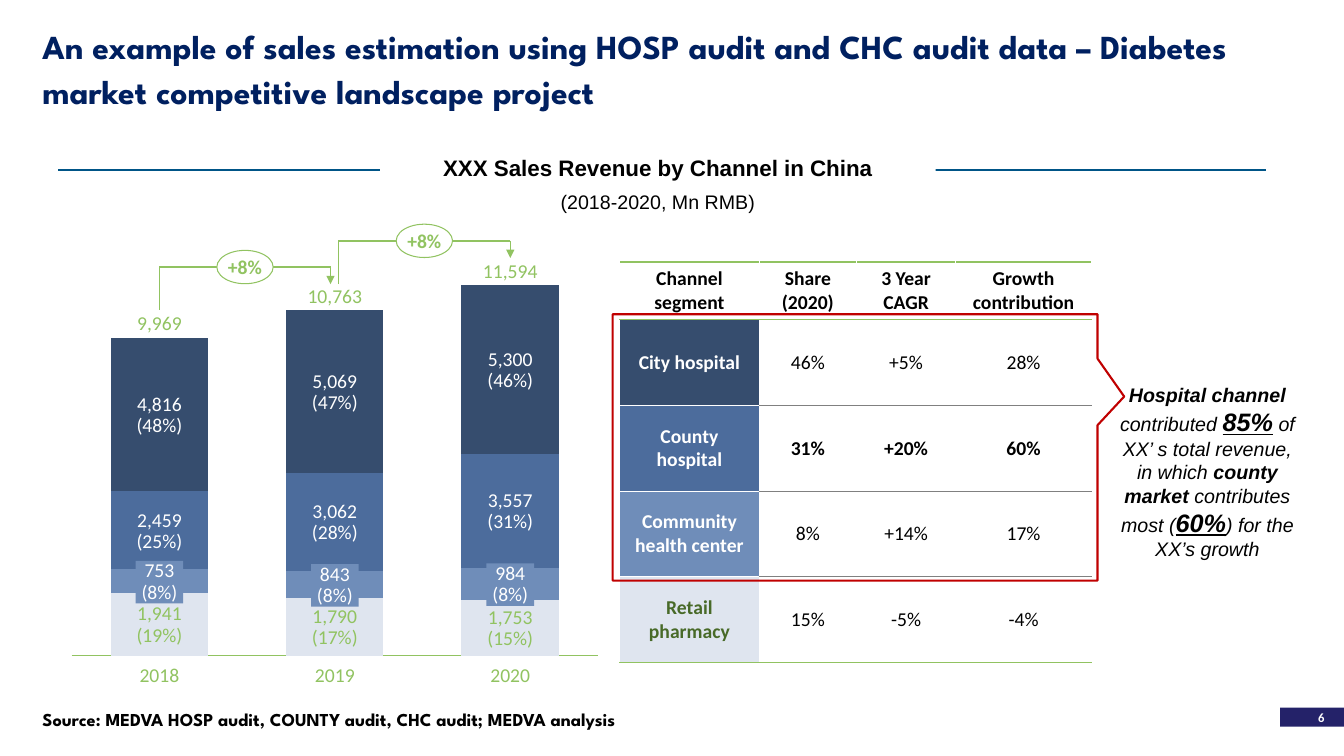
from lxml import etree
from pptx import Presentation
from pptx.chart.data import CategoryChartData
from pptx.dml.color import RGBColor
from pptx.enum.chart import XL_CHART_TYPE, XL_TICK_LABEL_POSITION, XL_TICK_MARK
from pptx.enum.shapes import MSO_CONNECTOR, MSO_SHAPE
from pptx.enum.text import MSO_ANCHOR, MSO_AUTO_SIZE, PP_ALIGN
from pptx.oxml.ns import qn
from pptx.util import Cm, Pt

STACKED = XL_CHART_TYPE.COLUMN_STACKED
NO_LABELS, NO_TICKS = XL_TICK_LABEL_POSITION.NONE, XL_TICK_MARK.NONE
RECTANGLE, OVAL, CALLOUT = MSO_SHAPE.RECTANGLE, MSO_SHAPE.OVAL, MSO_SHAPE.RECTANGULAR_CALLOUT
STRAIGHT = MSO_CONNECTOR.STRAIGHT
MIDDLE, BOTTOM, TOP = MSO_ANCHOR.MIDDLE, MSO_ANCHOR.BOTTOM, MSO_ANCHOR.TOP
LEFT, CENTER, RIGHT = PP_ALIGN.LEFT, PP_ALIGN.CENTER, PP_ALIGN.RIGHT

COLORS = {
    "white": "FFFFFF", "black": "000000", "grey": "808080", "green": "91C361",
    "dark green": "486A28", "title": "002060", "rule": "005587", "red": "C00000",
    "page": "242269", "city": "364D6E", "county": "4C6C9C",
    "community": "6F8DB9", "retail": "DFE5EF",
}
HEADING_FONT, BODY_FONT, NOTE_FONT = "League Spartan", "Calibri", "Arial"

YEARS = ["2018", "2019", "2020"]
TOTALS = ["9,969", "10,763", "11,594"]
# Channel, bar heights and labels, from the bottom of the stack to the top
CHANNELS = [
    ("retail", [37, 34, 33], ["1,941\n(19%)", "1,790\n(17%)", "1,753\n(15%)"]),
    ("community", [14, 16, 19], ["753\n(8%)", "843\n(8%)", "984\n(8%)"]),
    ("county", [46, 58, 67], ["2,459\n(25%)", "3,062\n(28%)", "3,557\n(31%)"]),
    ("city", [91, 96, 100], ["4,816\n(48%)", "5,069\n(47%)", "5,300\n(46%)"]),
]
AXIS_MAX = 219
BAR_BASE, BAR_SCALE = 16.53, 9.34 / AXIS_MAX
FIRST_BAR, BAR_STEP = 4.02, 4.42

TABLE_ROWS = [
    ["Channel segment", "Share (2020)", "3 Year\nCAGR", "Growth contribution"],
    ["City hospital", "46%", "+5%", "28%"],
    ["County hospital", "31%", "+20%", "60%"],
    ["Community health center", "8%", "+14%", "17%"],
    ["Retail pharmacy", "15%", "-5%", "-4%"],
]
ROW_CHANNELS = [None, "city", "county", "community", "retail"]
COUNTY_ROW = 2


def rgb(name):
    return RGBColor.from_string(COLORS[name])


def write(para, text, size=14, font=BODY_FONT, color="black", bold=False,
          italic=False, underline=False):
    """Add text to a paragraph, with a line break at each newline."""
    for index, line in enumerate(text.split("\n")):
        if index:
            para.add_line_break()
        span = para.add_run()
        span.text = line
        span.font.size, span.font.name = Pt(size), font
        span.font.bold, span.font.italic, span.font.underline = bold, italic, underline
        span.font.color.rgb = rgb(color)


class SlideBuilder:
    def __init__(self, deck):
        self.page = deck.slides.add_slide(deck.slide_layouts[5])
        self.shapes = self.page.shapes

    def frame(self, box, anchor=MIDDLE, align=CENTER, wrap=True, margins=(0, 0), spacing=None):
        """Format the text frame of a box and return its first paragraph."""
        frame = box.text_frame
        frame.auto_size = MSO_AUTO_SIZE.NONE
        frame.word_wrap, frame.vertical_anchor = wrap, anchor
        frame.margin_left = frame.margin_right = Cm(margins[0])
        frame.margin_top = frame.margin_bottom = Cm(margins[1])
        para = frame.paragraphs[0]
        para.alignment = align
        if spacing:
            para.line_spacing = spacing
        return para

    def title(self, text, left, top, width, height):
        box = self.shapes.title
        box.left, box.top, box.width, box.height = map(Cm, (left, top, width, height))
        write(self.frame(box, align=LEFT, spacing=Pt(32)), text, size=24,
              font=HEADING_FONT, color="title", bold=True)

    def text(self, left, top, width, height, **layout):
        box = self.shapes.add_textbox(*map(Cm, (left, top, width, height)))
        return self.frame(box, **layout)

    def shape(self, kind, left, top, width, height, fill=None, line=None, weight=0.75):
        shape = self.shapes.add_shape(kind, *map(Cm, (left, top, width, height)))
        shape.shadow.inherit = False
        if fill:
            shape.fill.solid()
            shape.fill.fore_color.rgb = rgb(fill)
        else:
            shape.fill.background()
        if line:
            shape.line.color.rgb, shape.line.width = rgb(line), Pt(weight)
        else:
            shape.line.fill.background()
        return shape

    def line(self, start, end, color="green", weight=1, arrow=False):
        line = self.shapes.add_connector(STRAIGHT, *map(Cm, (*start, *end)))
        line.line.color.rgb, line.line.width = rgb(color), Pt(weight)
        if arrow:
            etree.SubElement(line.line._get_or_add_ln(), qn("a:tailEnd"), type="triangle")
        etree.SubElement(line.element.spPr, qn("a:effectLst"))

    def chart(self, left, top, width, height):
        data = CategoryChartData()
        data.categories = ["1", "2", "3"]
        for number, (_, values, _) in enumerate(CHANNELS, 1):
            data.add_series(f"Series {number}", values)
        chart = self.shapes.add_chart(STACKED, *map(Cm, (left, top, width, height)), data).chart
        chart.has_legend = chart.has_title = False
        chart.font.size, chart.font.name, chart.font.color.rgb = Pt(10), BODY_FONT, rgb("green")
        plot = chart.plots[0]
        plot.gap_width, plot.overlap, plot.vary_by_categories = 80, 100, False
        for series, (channel, _, _) in zip(plot.series, CHANNELS):
            series.format.fill.solid()
            series.format.fill.fore_color.rgb = rgb(channel)
        values, years = chart.value_axis, chart.category_axis
        values.minimum_scale, values.maximum_scale = 0, AXIS_MAX
        values.has_major_gridlines = values.visible = False
        years.tick_label_position, years.major_tick_mark = NO_LABELS, NO_TICKS
        years.format.line.color.rgb, years.format.line.width = rgb("green"), Pt(0.75)
        area = chart.element.find(".//" + qn("c:plotArea"))
        for layout in area.findall(qn("c:layout")):
            area.remove(layout)
        layout = etree.Element(qn("c:layout"))
        manual = etree.SubElement(layout, qn("c:manualLayout"))
        for tag, value in (("layoutTarget", "inner"), ("xMode", "edge"), ("yMode", "edge"),
                           ("x", "0.017"), ("y", "0.023"), ("w", "0.967"), ("h", "0.953")):
            etree.SubElement(manual, qn("c:" + tag), val=value)
        area.insert(0, layout)

    def growth(self, start, end, base, level, tip):
        """Draw a bracket arrow with the growth rate in an oval at its middle."""
        self.line((start, base), (start, level))
        self.line((start, level), (end, level))
        self.line((end, level), (end, tip), arrow=True)
        oval = self.shape(OVAL, (start + end) / 2 - 0.71, level - 0.42, 1.42, 0.84, "white", "green")
        write(self.frame(oval, wrap=False), "+8%", color="green", bold=True)

    def borders(self, cell, **edges):
        properties = cell._tc.get_or_add_tcPr()
        for index, (side, color) in enumerate(edges.items()):
            edge = etree.Element(qn("a:ln" + side), w=str(Pt(1)))
            fill = etree.SubElement(edge, qn("a:solidFill"))
            etree.SubElement(fill, qn("a:srgbClr"), val=COLORS[color])
            properties.insert(index, edge)

    def table(self, left, top, widths, heights):
        table = self.shapes.add_table(len(heights), len(widths), *map(
            Cm, (left, top, sum(widths), sum(heights)))).table
        table.first_row = table.horz_banding = False
        for column, width in zip(table.columns, widths):
            column.width = Cm(width)
        for r, texts in enumerate(TABLE_ROWS):
            table.rows[r].height = Cm(heights[r])
            for c, text in enumerate(texts):
                cell = table.cell(r, c)
                cell.vertical_anchor = MIDDLE
                fill = "white" if r == 0 or c else ROW_CHANNELS[r]
                cell.fill.solid()
                cell.fill.fore_color.rgb = rgb(fill)
                color = {"white": "black", "retail": "dark green"}.get(fill, "white")
                para = cell.text_frame.paragraphs[0]
                para.alignment = CENTER
                write(para, text, color=color, bold=c == 0 or r in (0, COUNTY_ROW))
                inner = "grey" if c else "white"
                above, below = ("green" if k in (0, 1, len(heights)) else inner for k in (r, r + 1))
                self.borders(cell, L="white", R="white", T=above, B=below)


def main():
    deck = Presentation()
    deck.slide_width, deck.slide_height = Cm(33.87), Cm(19.05)
    slide = SlideBuilder(deck)

    slide.shape(RECTANGLE, 32.26, 17.83, 1.61, 0.48, "page")
    write(slide.text(32.26, 17.83, 1.12, 0.48, align=RIGHT), "6", size=9, color="white", bold=True)
    slide.title("An example of sales estimation using HOSP audit and CHC audit data – "
                "Diabetes market competitive landscape project", 1.07, 0.61, 31.5, 2.13)
    write(slide.text(1.07, 17.73, 26.5, 0.66, anchor=BOTTOM, align=LEFT),
          "Source: MEDVA HOSP audit, COUNTY audit, CHC audit; MEDVA analysis",
          size=13, font=HEADING_FONT, bold=True)

    slide.chart(1.57, 6.96, 13.72, 9.8)
    label = {"wrap": False, "margins": (0.08, 0), "spacing": 0.9}
    for i, (year, total) in enumerate(zip(YEARS, TOTALS)):
        center = FIRST_BAR + i * BAR_STEP
        write(slide.text(center - 0.56, 16.71, 1.12, 0.58, anchor=TOP, wrap=False), year, color="green")
        level = BAR_BASE
        for channel, values, labels in CHANNELS:
            height = values[i] * BAR_SCALE
            top = level - height / 2 - 0.52
            if channel == "community":
                para = slide.frame(slide.shape(RECTANGLE, center - 0.6, top, 1.2, 1.07, channel), **label)
            else:
                para = slide.text(center - 0.72, top, 1.44, 1.07, **label)
            write(para, labels[i], color="green" if channel == "retail" else "white")
            level -= height
        write(slide.text(center - 0.8, level - 0.6, 1.6, 0.53, anchor=BOTTOM, **label),
              total, color="green")
    slide.growth(4.02, 8.33, 7.8, 6.73, 7.16)
    slide.growth(8.53, 12.86, 7.16, 6.07, 6.5)

    slide.table(15.62, 6.6, [3.51, 2.46, 2.49, 3.43], [0.97] + [2.16] * 4)
    callout = slide.shape(CALLOUT, 15.44, 7.92, 12.22, 6.71, line="red", weight=1.5)
    callout.adjustments[0], callout.adjustments[1] = 0.555, -0.191
    note = slide.text(27.94, 9.58, 4.98, 4.62, margins=(0.25, 0.25))
    strong, key = {"bold": True}, {"size": 18, "bold": True, "underline": True}
    for text, style in (("Hospital channel ", strong), ("contributed ", {}), ("85%", key),
                        (" of XX’ s total revenue, in which ", {}), ("county market", strong),
                        (" contributes most (", {}), ("60%", key), (") for the XX’s growth", {})):
        write(note, text, font=NOTE_FONT, italic=True, **style)

    slide.line((1.47, 4.29), (31.9, 4.29), "rule", 1.5)
    heading = slide.shape(RECTANGLE, 9.58, 3.86, 14, 1.55, "white")
    write(slide.frame(heading, margins=(0.25, 0.25)), "XXX Sales Revenue by Channel in China",
          size=16, font=NOTE_FONT, bold=True)
    period = heading.text_frame.add_paragraph()
    period.alignment, period.space_before = CENTER, Pt(6)
    write(period, "(2018-2020, Mn RMB)", font=NOTE_FONT)

    deck.save("out.pptx")


if __name__ == "__main__":
    main()
